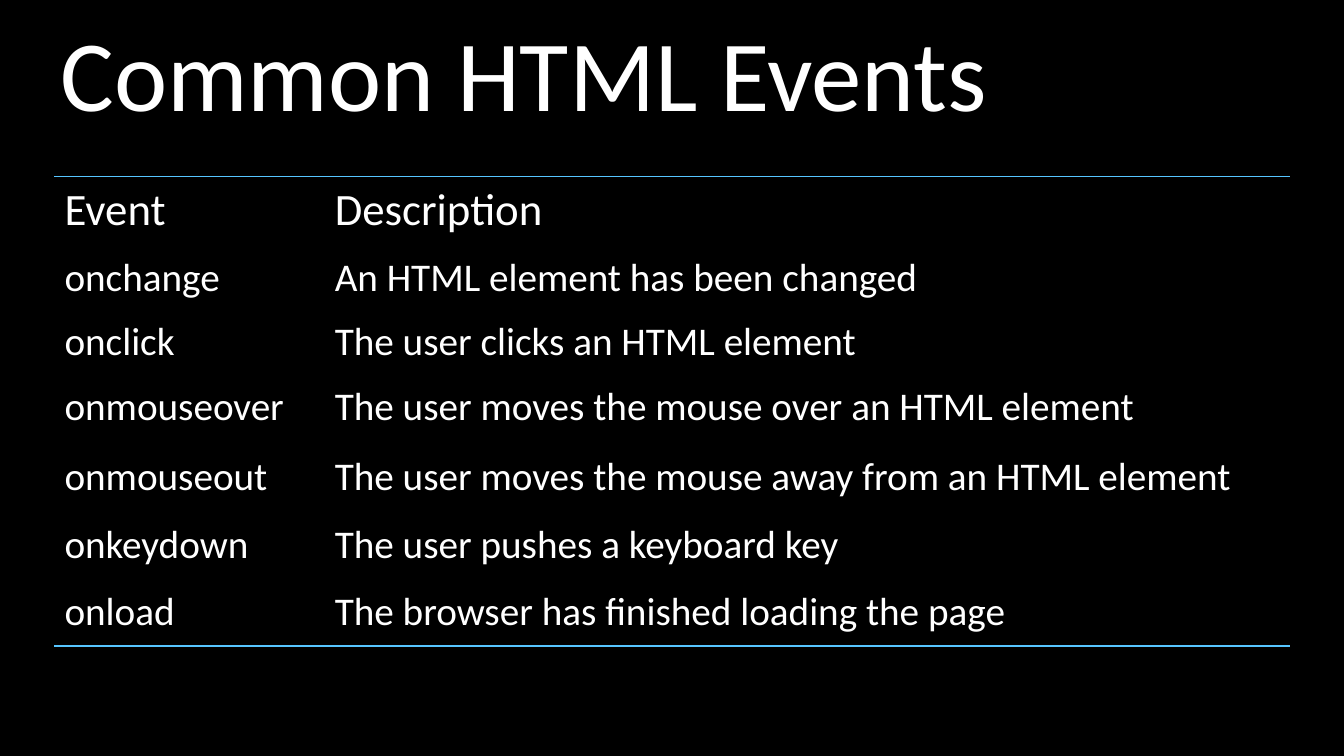
from lxml.etree import SubElement
from pptx import Presentation
from pptx.dml.color import RGBColor
from pptx.enum.text import MSO_ANCHOR
from pptx.oxml.ns import qn
from pptx.util import Inches, Pt

# Content
TITLE = "Common HTML Events"
EVENTS = [
    ("Event", "Description"),
    ("onchange", "An HTML element has been changed"),
    ("onclick", "The user clicks an HTML element"),
    ("onmouseover", "The user moves the mouse over an HTML element"),
    ("onmouseout", "The user moves the mouse away from an HTML element"),
    ("onkeydown", "The user pushes a keyboard key"),
    ("onload", "The browser has finished loading the page"),
]

# Look and layout
BLACK, WHITE, RULE_BLUE = "000000", "FFFFFF", "56C5FF"
FONT = "Calibri"
COLUMN_WIDTHS = [2.68, 9.57]
ROW_HEIGHTS = [0.67, 0.67, 0.6, 0.7, 0.68, 0.67, 0.67]
PLAIN_TABLE_STYLE = "{2D5ABB26-0587-4C30-8999-92F81FD0307C}"


def rgb(color):
    return RGBColor.from_string(color)


def write(frame, text, size):
    frame.text = text
    font = frame.paragraphs[0].runs[0].font
    font.name, font.size = FONT, Pt(size)
    font.color.rgb = rgb(WHITE)


def add_rule(cell, side):
    """Draw a thin line on one side of a cell: lnT or lnB."""
    properties = cell._tc.get_or_add_tcPr()
    line = SubElement(properties, qn(f"a:{side}"), w=str(Pt(1)))
    properties.insert(0, line)
    fill = SubElement(line, qn("a:solidFill"))
    SubElement(fill, qn("a:srgbClr"), val=RULE_BLUE)


prs = Presentation()
prs.slide_width, prs.slide_height = Inches(13.33), Inches(7.5)
slide = prs.slides.add_slide(prs.slide_layouts[6])
slide.background.fill.solid()
slide.background.fill.fore_color.rgb = rgb(BLACK)

# Title
heading = slide.shapes.add_textbox(0, Inches(0.02), Inches(13.33), Inches(1.73)).text_frame
heading.word_wrap = True
heading.margin_left, heading.margin_top = Inches(0.6), Inches(0.09)
write(heading, TITLE, 72)

# Event table
event_table = slide.shapes.add_table(
    len(EVENTS), len(COLUMN_WIDTHS), Inches(0.54), Inches(1.75),
    Inches(sum(COLUMN_WIDTHS)), Inches(sum(ROW_HEIGHTS))).table
event_table.first_row = event_table.horz_banding = False
event_table._tbl.tblPr.find(qn("a:tableStyleId")).text = PLAIN_TABLE_STYLE
for column, width in zip(event_table.columns, COLUMN_WIDTHS):
    column.width = Inches(width)

for index, (row, height, texts) in enumerate(zip(event_table.rows, ROW_HEIGHTS, EVENTS)):
    row.height = Inches(height)
    for cell, text in zip(row.cells, texts):
        write(cell.text_frame, text, 32 if index == 0 else 28)
        cell.vertical_anchor = MSO_ANCHOR.MIDDLE
        cell.fill.background()
        if index == 0:
            add_rule(cell, "lnT")
        elif index == len(EVENTS) - 1:
            add_rule(cell, "lnB")

prs.save("out.pptx")
